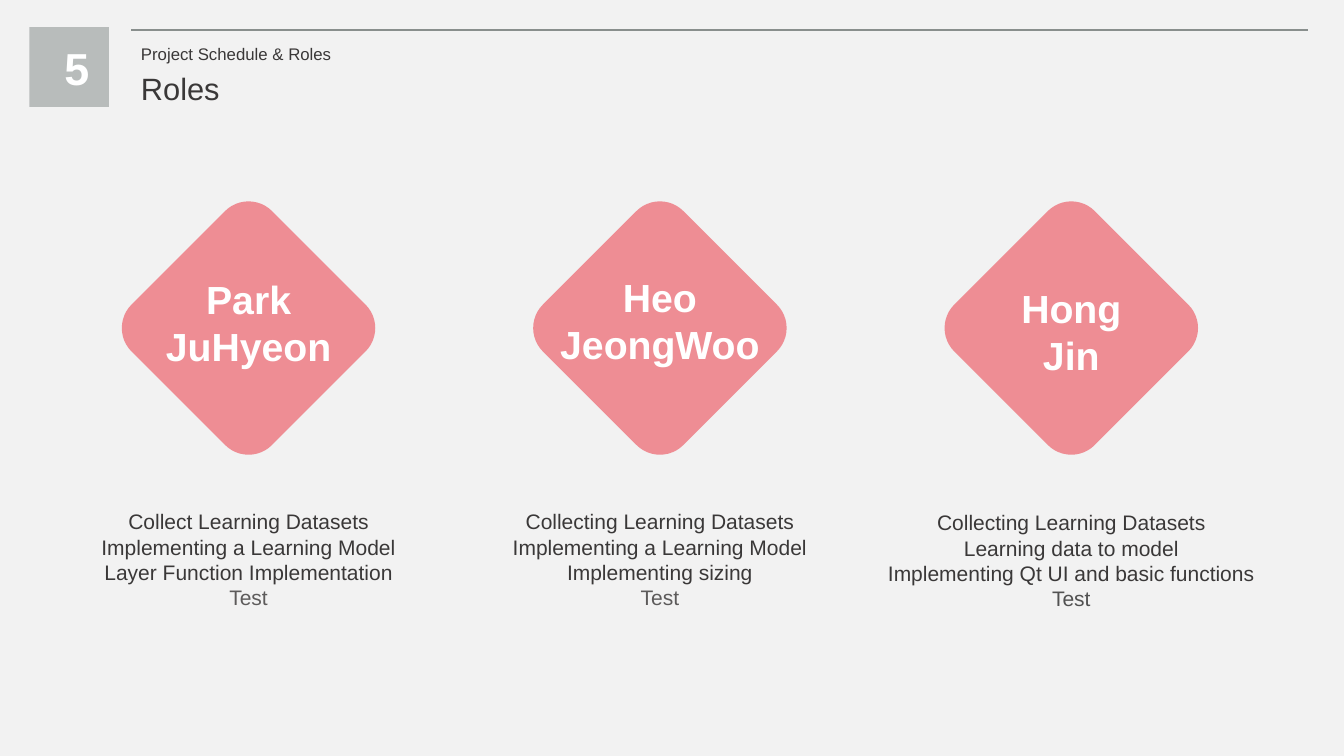
from lxml.etree import SubElement
from pptx import Presentation
from pptx.dml.color import RGBColor
from pptx.enum.shapes import MSO_CONNECTOR, MSO_SHAPE
from pptx.enum.text import MSO_AUTO_SIZE, PP_ALIGN
from pptx.oxml.ns import qn
from pptx.util import Inches, Pt

COLORS = {
    "background": "F2F2F2",
    "rule": "898F8D",
    "badge": "B8BCBB",
    "diamond": "ED636D",
    "white": "FFFFFF",
    "dark": "3A3838",
    "muted": "5D5B5B",
    "gray": "525252",
}
SECTION_NUMBER = "5"
SECTION = "Project Schedule & Roles"
TITLE = "Roles"
MEMBERS = [
    {
        "name": "Park JuHyeon", "name_top": 2.68, "name_width": 2.05,
        "tasks": ["Collect Learning Datasets", "Implementing a Learning Model",
                  "Layer Function Implementation", "Test"],
        "tasks_top": 5, "tasks_width": 3.19, "last_color": "muted",
    },
    {
        "name": "Heo JeongWoo", "name_top": 2.66, "name_width": 2.25,
        "tasks": ["Collecting Learning Datasets", "Implementing a Learning Model",
                  "Implementing sizing", "Test"],
        "tasks_top": 5, "tasks_width": 3.26, "last_color": "muted",
    },
    {
        "name": "Hong Jin", "name_top": 2.77, "name_width": 1.55,
        "tasks": ["Collecting Learning Datasets", "Learning data to model",
                  "Implementing Qt UI and basic functions", "Test"],
        "tasks_top": 5.01, "tasks_width": 4.08, "last_color": "gray",
    },
]
FIRST_CENTER, COLUMN_STEP = 2.465, 4.08
DIAMOND_TOP, DIAMOND_SIDE = 2.27, 1.97


def color(name):
    return RGBColor.from_string(COLORS[name])


def add_block(page, kind, left, top, side, fill):
    block = page.shapes.add_shape(
        kind, Inches(left), Inches(top), Inches(side), Inches(side))
    block.shadow.inherit = False
    block.fill.solid()
    block.fill.fore_color.rgb = color(fill)
    block.line.fill.background()
    return block


def add_text(page, place, lines, size, fill, bold=False, centered=True, wrap=True):
    box = page.shapes.add_textbox(*[Inches(length) for length in place])
    frame = box.text_frame
    frame.text = "\n".join(lines)
    frame.word_wrap = wrap
    frame.auto_size = MSO_AUTO_SIZE.SHAPE_TO_FIT_TEXT
    for para in frame.paragraphs:
        para.alignment = PP_ALIGN.CENTER if centered else PP_ALIGN.LEFT
        for span in para.runs:
            span.font.name = "Arial"
            span.font.size = Pt(size)
            span.font.bold = bold
            span.font.color.rgb = color(fill)
    return box


deck = Presentation()
deck.slide_width, deck.slide_height = Inches(13.33), Inches(7.5)
page = deck.slides.add_slide(deck.slide_layouts[6])
page.background.fill.solid()
page.background.fill.fore_color.rgb = color("background")

rule = page.shapes.add_connector(
    MSO_CONNECTOR.STRAIGHT, Inches(1.3), Inches(0.3), Inches(12.97), Inches(0.3))
rule.line.color.rgb = color("rule")
rule.line.width = Pt(1.5)
SubElement(rule._element.spPr, qn("a:effectLst"))

add_block(page, MSO_SHAPE.RECTANGLE, 0.29, 0.27, 0.79, "badge")
add_text(page, (0.54, 0.35, 0.28, 0.64), [SECTION_NUMBER], 32, "white", bold=True)
add_text(page, (1.3, 0.38, 2.1, 0.3), [SECTION], 12, "dark", centered=False, wrap=False)
add_text(page, (1.3, 0.64, 0.99, 0.47), [TITLE], 22, "dark", centered=False, wrap=False)

for column, member in enumerate(MEMBERS):
    center = FIRST_CENTER + column * COLUMN_STEP
    diamond = add_block(page, MSO_SHAPE.ROUNDED_RECTANGLE,
                        center - DIAMOND_SIDE / 2, DIAMOND_TOP, DIAMOND_SIDE, "diamond")
    diamond.rotation = 45
    tint = diamond._element.spPr.find(qn("a:solidFill"))[0]
    SubElement(tint, qn("a:alpha"), val="70000")

    width = member["name_width"]
    add_text(page, (center - width / 2, member["name_top"], width, 1.04),
             [member["name"]], 28, "white", bold=True)

    width = member["tasks_width"]
    tasks = add_text(page, (center - width / 2, member["tasks_top"], width, 1.11),
                     member["tasks"], 15, "dark")
    last_task = tasks.text_frame.paragraphs[-1].runs[0]
    last_task.font.color.rgb = color(member["last_color"])

deck.save("out.pptx")
